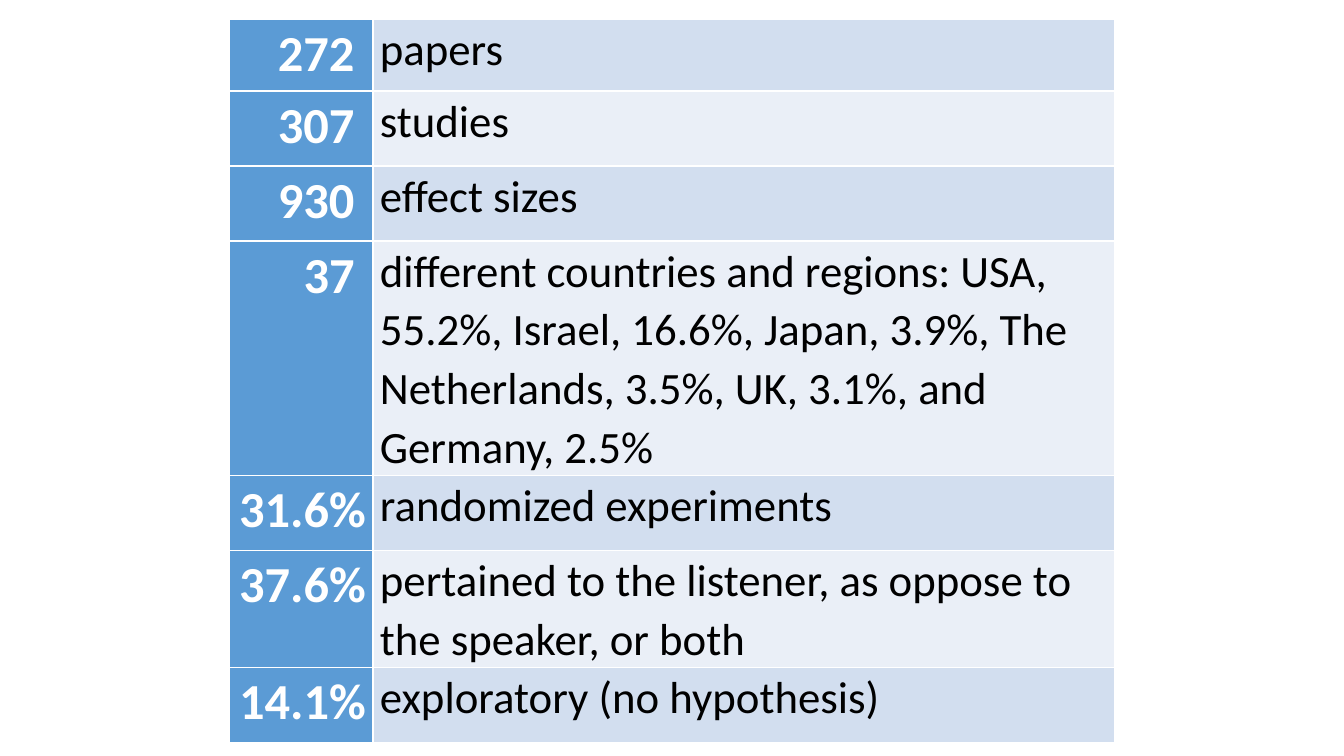
import pptx
import pptx.dml.color
import pptx.enum.text
import pptx.oxml
import pptx.oxml.ns
import pptx.util

PX = 914400 / 100.8
SLIDE_WIDTH, SLIDE_HEIGHT = 1344, 756
FONT = "Calibri"
WHITE, BLACK, BLUE = "FFFFFF", "000000", "5B9BD5"
BANDS = ("D2DEEF", "EAEFF7")
COLUMN_WIDTHS = (144, 742)
CELL_INSET = 7

# figure, description, row height in px
FINDINGS = (
    ("272 ", "papers", 72),
    ("307 ", "studies", 75),
    ("930 ", "effect sizes", 75),
    ("37 ", "different countries and regions: USA, 55.2%, Israel, 16.6%, Japan, 3.9%, "
     "The Netherlands, 3.5%, UK, 3.1%, and Germany, 2.5%", 234),
    ("31.6% ", "randomized experiments", 75),
    ("37.6% ", "pertained to the listener, as oppose to the speaker, or both", 117),
    ("14.1% ", "exploratory (no hypothesis)", 75),
)


def px(length):
    return pptx.util.Emu(round(length * PX))


def color(code):
    return pptx.dml.color.RGBColor.from_string(code)


def add_borders(cell):
    properties = cell._tc.get_or_add_tcPr()
    for side in ("lnL", "lnR", "lnT", "lnB"):
        properties.append(pptx.oxml.parse_xml(
            f'<a:{side} {pptx.oxml.ns.nsdecls("a")} w="12700"><a:solidFill>'
            f'<a:srgbClr val="{WHITE}"/></a:solidFill></a:{side}>'))


def fill_cell(cell, text, fill, font_color, size, bold, align):
    add_borders(cell)
    cell.fill.solid()
    cell.fill.fore_color.rgb = color(fill)
    cell.margin_left = cell.margin_right = px(CELL_INSET)
    cell.margin_top = cell.margin_bottom = 0
    para = cell.text_frame.paragraphs[0]
    para.alignment = align
    para.line_spacing = 1.07
    span = para.add_run()
    span.text = text
    span.font.name = FONT
    span.font.size = pptx.util.Pt(size)
    span.font.bold = bold
    span.font.color.rgb = color(font_color)


def add_findings_table(page, left, top):
    heights = [height for _, _, height in FINDINGS]
    table = page.shapes.add_table(len(FINDINGS), len(COLUMN_WIDTHS), px(left), px(top),
                                  px(sum(COLUMN_WIDTHS)), px(sum(heights))).table
    table.first_row = table.horz_banding = False
    for column, width in zip(table.columns, COLUMN_WIDTHS):
        column.width = px(width)
    align = pptx.enum.text.PP_ALIGN
    for index, (figure, description, height) in enumerate(FINDINGS):
        table.rows[index].height = px(height)
        fill_cell(table.cell(index, 0), figure, BLUE, WHITE, 36, True, align.RIGHT)
        fill_cell(table.cell(index, 1), description, BANDS[index % 2], BLACK, 32, False,
                  align.LEFT)


def main():
    deck = pptx.Presentation()
    deck.slide_width, deck.slide_height = px(SLIDE_WIDTH), px(SLIDE_HEIGHT)
    page = deck.slides.add_slide(deck.slide_layouts[6])
    add_findings_table(page, 229, 19)
    deck.save("out.pptx")


if __name__ == "__main__":
    main()
